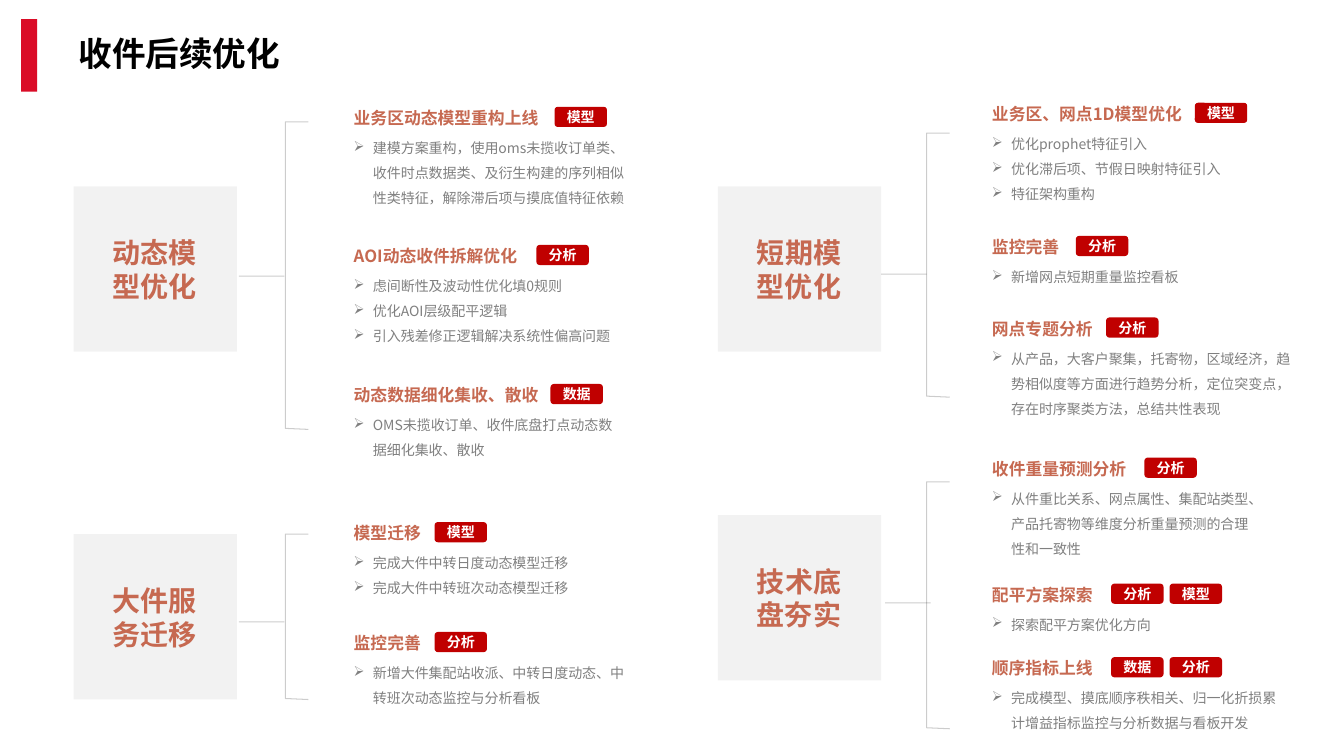
import pptx
import pptx.util
import pptx.dml.color
import pptx.enum.shapes
import pptx.enum.text
from pptx.oxml.xmlchemy import OxmlElement

Inches, Pt = pptx.util.Inches, pptx.util.Pt
RGB = pptx.dml.color.RGBColor
SHAPE = pptx.enum.shapes.MSO_SHAPE
ANCHOR = pptx.enum.text.MSO_ANCHOR
ALIGN = pptx.enum.text.PP_ALIGN
FONT = "Noto Sans CJK SC"
COLORS = {"bar": "DA0C27", "tag": "C00000", "accent": "C66951",
          "body": "808080", "black": "000000", "white": "FFFFFF"}

# Topic: name, card left and top, stem (from x, to x, y), bracket (left, top, bottom)
TOPICS = [
    ("动态模型优化", 0.73, 1.85, (2.37, 2.82, 2.74), (2.83, 1.21, 4.25)),
    ("大件服务迁移", 0.73, 5.3, (2.37, 2.82, 6.17), (2.83, 5.3, 6.93)),
    ("短期模型优化", 7.12, 1.85, (8.74, 9.19, 2.72), (9.19, 1.32, 3.93)),
    ("技术底盘夯实", 7.12, 5.11, (8.78, 9.23, 5.98), (9.19, 4.78, 7.22)),
]

# Item: left, top, width, heading, tags with their left, line count, bullets
ITEMS = [
    (3.41, 1.02, 2.89, "业务区动态模型重构上线", [("模型", 5.5)], 3,
     ["建模方案重构，使用oms未揽收订单类、收件时点数据类、及衍生构建的序列相似性类特征，解除滞后项与摸底值特征依赖"]),
    (3.41, 2.39, 2.89, "AOI动态收件拆解优化", [("分析", 5.32)], 3,
     ["虑间断性及波动性优化填0规则", "优化AOI层级配平逻辑", "引入残差修正逻辑解决系统性偏高问题"]),
    (3.41, 3.77, 2.89, "动态数据细化集收、散收", [("数据", 5.46)], 2,
     ["OMS未揽收订单、收件底盘打点动态数据细化集收、散收"]),
    (3.41, 5.14, 2.89, "模型迁移", [("模型", 4.31)], 2,
     ["完成大件中转日度动态模型迁移", "完成大件中转班次动态模型迁移"]),
    (3.41, 6.23, 2.89, "监控完善", [("分析", 4.31)], 2,
     ["新增大件集配站收派、中转日度动态、中转班次动态监控与分析看板"]),
    (9.74, 0.98, 2.89, "业务区、网点1D模型优化", [("模型", 11.85)], 3,
     ["优化prophet特征引入", "优化滞后项、节假日映射特征引入", "特征架构重构"]),
    (9.74, 2.3, 2.81, "监控完善", [("分析", 10.67)], 1,
     ["新增网点短期重量监控看板"]),
    (9.74, 3.11, 3.16, "网点专题分析", [("分析", 10.97)], 3,
     ["从产品，大客户聚集，托寄物，区域经济，趋势相似度等方面进行趋势分析，定位突变点，存在时序聚类方法，总结共性表现"]),
    (9.74, 4.5, 2.81, "收件重量预测分析", [("分析", 11.35)], 3,
     ["从件重比关系、网点属性、集配站类型、产品托寄物等维度分析重量预测的合理性和一致性"]),
    (9.74, 5.75, 2.81, "配平方案探索", [("分析", 11.02), ("模型", 11.6)], 1,
     ["探索配平方案优化方向"]),
    (9.74, 6.48, 3.04, "顺序指标上线", [("数据", 11.02), ("分析", 11.6)], 2,
     ["完成模型、摸底顺序秩相关、归一化折损累计增益指标监控与分析数据与看板开发"]),
]


def add_text(box, color, size, texts, fill=None, bold=True, bullets=False,
             align=ALIGN.LEFT, anchor=ANCHOR.TOP):
    """Add a text box, or a filled rounded tag when fill is given."""
    place = [Inches(v) for v in box]
    if fill:
        sp = s.shapes.add_shape(SHAPE.ROUNDED_RECTANGLE, *place)
        sp.shadow.inherit = False
        sp.fill.solid()
        sp.fill.fore_color.rgb = RGB.from_string(COLORS[fill])
        sp.line.fill.background()
    else:
        sp = s.shapes.add_textbox(*place)
    tf = sp.text_frame
    tf.word_wrap = True
    tf.vertical_anchor = anchor
    for i, text in enumerate(texts):
        p = tf.add_paragraph() if i else tf.paragraphs[0]
        p.alignment = align
        if bullets:
            pPr = p._p.get_or_add_pPr()
            pPr.set("marL", str(Inches(0.19)))
            pPr.set("indent", str(-Inches(0.19)))
            bullet = OxmlElement("a:buChar")
            bullet.set("char", "➢")
            pPr.append(bullet)
            p.line_spacing = 1.5
        r = p.add_run()
        r.text = text
        r.font.size = Pt(size)
        r.font.bold = bold
        r.font.name = FONT
        r.font.color.rgb = RGB.from_string(COLORS[color])
        ea = OxmlElement("a:ea")
        ea.set("typeface", FONT)
        r.font._element.append(ea)


def fade(sp, opacity):
    """Set the opacity, in percent, of the shape's fill and line colours."""
    for color in sp._element.spPr.xpath(".//a:srgbClr"):
        alpha = OxmlElement("a:alpha")
        alpha.set("val", str(opacity * 1000))
        color.append(alpha)


prs = pptx.Presentation()
prs.slide_width, prs.slide_height = Inches(13.33), Inches(7.5)
s = prs.slides.add_slide(prs.slide_layouts[6])

bar = s.shapes.add_shape(SHAPE.RECTANGLE, Inches(0.21), Inches(0.19), Inches(0.16), Inches(0.72))
bar.shadow.inherit = False
bar.fill.solid()
bar.fill.fore_color.rgb = RGB.from_string(COLORS["bar"])
bar.line.fill.background()
add_text((0.68, 0.28, 3.96, 0.5), "black", 24, ["收件后续优化"])

for name, left, top, (x1, x2, y), (x, y1, y2) in TOPICS:
    card = s.shapes.add_shape(SHAPE.RECTANGLE, Inches(left), Inches(top), Inches(1.62), Inches(1.64))
    card.shadow.inherit = False
    card.fill.solid()
    card.fill.fore_color.rgb = RGB.from_string(COLORS["black"])
    card.line.fill.background()
    fade(card, 5)
    add_text((left + 0.2, top + 0.44, 1.21, 0.77), "accent", 20, [name], align=ALIGN.CENTER)

    stem = s.shapes.add_connector(pptx.enum.shapes.MSO_CONNECTOR.STRAIGHT,
                                  Inches(x1), Inches(y), Inches(x2), Inches(y))
    outline = s.shapes.build_freeform(Inches(x + 0.23), Inches(y2 + 0.01))
    outline.add_line_segments([(Inches(x), Inches(y2)), (Inches(x), Inches(y1)),
                               (Inches(x + 0.23), Inches(y1))], close=False)
    bracket = outline.convert_to_shape()
    bracket.fill.background()
    for sp in (stem, bracket):
        sp.line.color.rgb = RGB.from_string(COLORS["black"])
        sp.line.width = Pt(0.75)
        sp._element.spPr.append(OxmlElement("a:effectLst"))
        fade(sp, 20)

for left, top, width, heading, tags, lines, bullets in ITEMS:
    add_text((left, top, width, 0.3), "accent", 12, [heading], anchor=ANCHOR.MIDDLE)
    add_text((left, top + 0.23, width, 0.1 + 0.25 * lines), "body", 10, bullets,
             bold=False, bullets=True)
    for tag, tag_left in tags:
        add_text((tag_left, top + 0.04, 0.52, 0.2), "white", 10, [tag], fill="tag",
                 align=ALIGN.CENTER, anchor=ANCHOR.MIDDLE)

prs.save("out.pptx")
